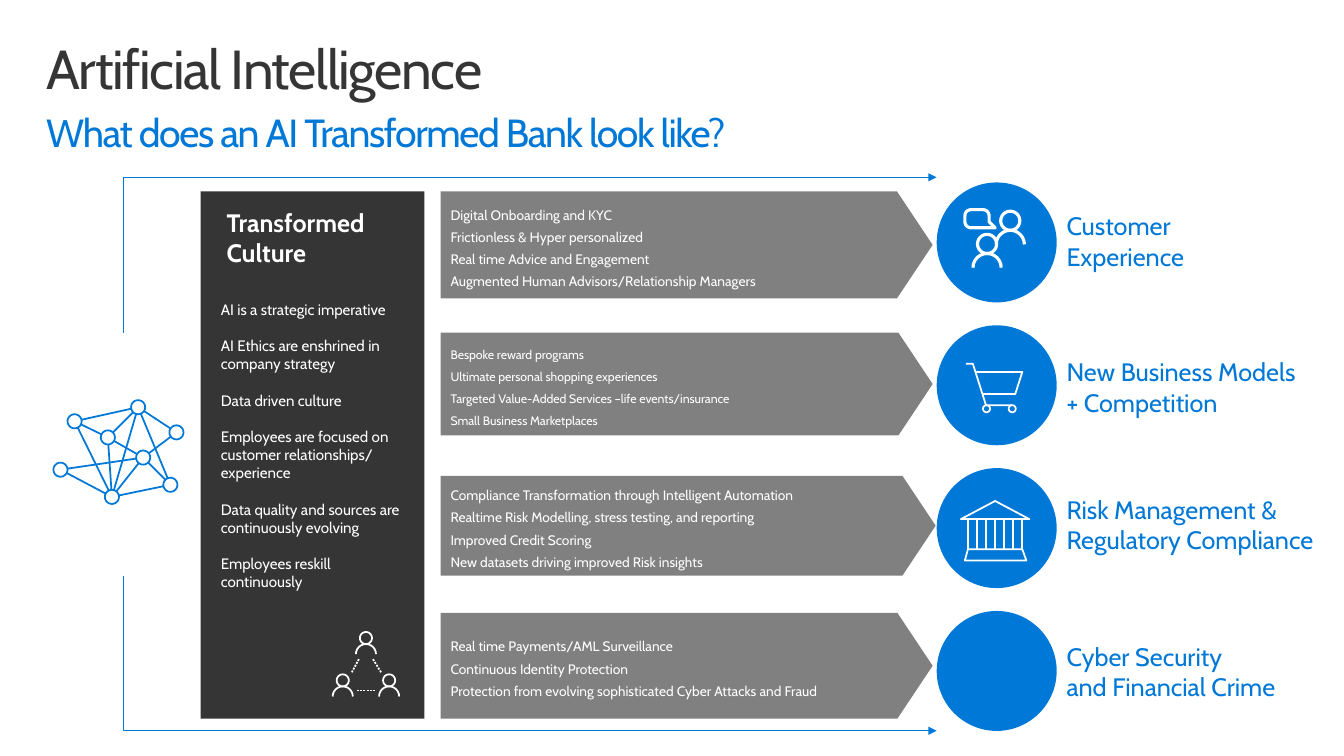
from math import cos, dist, radians, sin

from pptx import Presentation
from pptx.dml.color import RGBColor
from pptx.enum.shapes import MSO_CONNECTOR, MSO_SHAPE
from pptx.enum.text import MSO_ANCHOR, MSO_AUTO_SIZE, PP_ALIGN
from pptx.oxml.ns import qn
from pptx.util import Inches, Pt

BLUE = RGBColor(0x00, 0x78, 0xD7)
DARK = RGBColor(0x35, 0x35, 0x35)
GRAY = RGBColor(0x80, 0x80, 0x80)
WHITE = RGBColor(0xFF, 0xFF, 0xFF)
FONT = "Cabin"

TITLE = "Artificial Intelligence"
SUBTITLE = "What does an AI Transformed Bank look like?"
CULTURE_HEADING = ["Transformed", "Culture"]
CULTURE_POINTS = [
    ["AI is a strategic imperative"],
    ["AI Ethics are enshrined in company strategy"],
    ["Data driven culture"],
    ["Employees are focused on customer relationships/", "experience"],
    ["Data quality and sources are continuously evolving"],
    ["Employees reskill continuously"],
]
# Each row: arrow (top, width, height, text size), arrow lines, label top, label lines
ROWS = [
    ((1.9, 4.88, 1.06, 9.8),
     ["Digital Onboarding and KYC", "Frictionless & Hyper personalized",
      "Real time Advice and Engagement", "Augmented Human Advisors/Relationship Managers"],
     2.04, ["Customer", "Experience"]),
    ((3.3, 4.88, 1.02, 8.8),
     ["Bespoke reward programs", "Ultimate personal shopping experiences",
      "Targeted Value-Added Services –life events/insurance", "Small Business Marketplaces"],
     3.49, ["New Business Models", "+ Competition"]),
    ((4.72, 4.91, 0.99, 9.8),
     ["Compliance Transformation through Intelligent Automation",
      "Realtime Risk Modelling, stress testing, and reporting",
      "Improved Credit Scoring", "New datasets driving improved Risk insights"],
     4.85, ["Risk Management &", "Regulatory Compliance"]),
    ((6.08, 4.88, 1.05, 9.8),
     ["Real time Payments/AML Surveillance", "Continuous Identity Protection",
      "Protection from evolving sophisticated Cyber Attacks and Fraud"],
     6.31, ["Cyber Security", "and Financial Crime"]),
]
CIRCLE_LEFT, CIRCLE_TOP, CIRCLE_SIZE, CIRCLE_PITCH = 9.29, 1.81, 1.19, 1.417
FLOW_LINES = [((1.23, 3.3), (9.29, 1.76)), ((1.23, 5.71), (9.29, 7.25))]

NODE_RADIUS = 0.07
NODES = {"A": (1.37, 4.04), "B": (1.75, 4.29), "C": (1.42, 4.54), "D": (1.69, 4.81),
         "E": (1.11, 4.93), "F": (0.6, 4.66), "G": (1.07, 4.34), "H": (0.74, 4.18)}
LINKS = ["HG", "GC", "CF", "FE", "ED", "AH", "AB", "BC", "EC", "AE", "GE", "EH",
         "GA", "AD", "CD"]


def arc(x, y, radius, start=0, end=360):
    """Points clockwise from start to end, in degrees, with 0 at the right."""
    steps = (end - start) // 15
    angles = [radians(start + (end - start) * i / steps) for i in range(steps + 1)]
    return [(x + radius * cos(a), y + radius * sin(a)) for a in angles]


def between(start, end, share):
    return tuple(a + (b - a) * share for a, b in zip(start, end))


def person(x, y, head, shoulder):
    return [arc(x, y, head), arc(x, y + head + shoulder, shoulder, 180, 360)]


def dashes(start, end, count):
    unit = 1 / (count - 0.4)
    return [[between(start, end, i * unit), between(start, end, (i + 0.6) * unit)]
            for i in range(count)]


def link(start, end):
    """A line between two nodes that stops at their rims."""
    trim = NODE_RADIUS / dist(start, end)
    return [between(start, end, trim), between(start, end, 1 - trim)]


NETWORK = ([arc(x, y, NODE_RADIUS) for x, y in NODES.values()]
           + [link(NODES[a], NODES[b]) for a, b in LINKS])
BUBBLE = (arc(9.63, 2.2, 0.06, 90, 180) + arc(9.63, 2.14, 0.06, 180, 270)
          + arc(9.75, 2.14, 0.06, 270, 360) + [(9.81, 2.2), (9.87, 2.26), (9.63, 2.26)])
CUSTOMERS = [BUBBLE] + person(9.79, 2.42, 0.095, 0.14) + person(10.02, 2.19, 0.095, 0.14)
CART = [arc(9.785, 4.055, 0.035), arc(10.04, 4.055, 0.035),
        [(9.58, 3.61), (9.65, 3.61), (9.78, 4.02), (10.04, 4.02)],
        [(9.75, 3.91), (10.07, 3.91), (10.14, 3.69), (9.68, 3.69)]]
BANK = ([[(9.87, 4.97), (10.21, 5.15), (9.53, 5.15), (9.87, 4.97)],
         [(9.6, 5.45), (9.57, 5.56), (10.18, 5.56), (10.14, 5.45), (9.6, 5.45)]]
        + [[(9.6 + 0.09 * i, 5.15), (9.6 + 0.09 * i, 5.45)] for i in range(7)])
TEAM = (person(3.63, 6.33, 0.06, 0.1) + person(3.86, 6.75, 0.06, 0.1)
        + person(3.4, 6.75, 0.06, 0.1) + dashes((3.54, 6.85), (3.72, 6.85), 6)
        + dashes((3.7, 6.54), (3.78, 6.67), 5) + dashes((3.56, 6.54), (3.49, 6.67), 5))
ICONS = [(CUSTOMERS, WHITE, 2.25), (CART, WHITE, 1.25), (BANK, WHITE, 1.25),
         (NETWORK, BLUE, 1.25), (TEAM, WHITE, 1.25)]


def set_all(target, values):
    for name, value in values.items():
        setattr(target, name, value)


def write_text(shape, groups, size, color, frame=None, para_format=None,
               gap=0, bold=False, tracking=0):
    """Write groups of lines, with gap points between the groups."""
    box = shape.text_frame
    set_all(box, {"vertical_anchor": MSO_ANCHOR.TOP, "word_wrap": True,
                  "auto_size": MSO_AUTO_SIZE.NONE, **(frame or {})})
    lines = [(text, g > 0 and i == 0)
             for g, group in enumerate(groups) for i, text in enumerate(group)]
    for index, (text, spaced) in enumerate(lines):
        para = box.add_paragraph() if index else box.paragraphs[0]
        set_all(para, {"alignment": PP_ALIGN.LEFT, **(para_format or {})})
        if spaced and gap:
            para.space_before = Pt(gap)
        span = para.add_run()
        span.text = text
        set_all(span.font, {"name": FONT, "size": Pt(size), "bold": bold})
        span.font.color.rgb = color
        if tracking:
            span._r.get_or_add_rPr().set("spc", str(tracking * 100))


def add_filled(page, kind, place, color):
    shape = page.shapes.add_shape(kind, *map(Inches, place))
    shape.shadow.inherit = False
    shape.fill.solid()
    shape.fill.fore_color.rgb = color
    shape.line.fill.background()
    return shape


def add_text(page, place, lines, size, color, **options):
    box = page.shapes.add_textbox(*map(Inches, place))
    write_text(box, [lines], size, color, **options)


def add_icon(page, strokes, color, width):
    builder = None
    for stroke in strokes:
        points = [(Inches(x), Inches(y)) for x, y in stroke]
        if builder is None:
            builder = page.shapes.build_freeform(*points[0], scale=1.0)
        else:
            builder.move_to(*points[0])
        builder.add_line_segments(points[1:], close=False)
    icon = builder.convert_to_shape()
    icon.shadow.inherit = False
    icon.fill.background()
    icon.line.color.rgb = color
    icon.line.width = Pt(width)


def add_flow_line(page, start, end):
    line = page.shapes.add_connector(MSO_CONNECTOR.ELBOW, *map(Inches, start + end))
    line.line.color.rgb = BLUE
    line.line.width = Pt(0.75)
    properties = line._element.spPr
    bend = properties.find(qn("a:prstGeom")).get_or_add_avLst()
    guide = bend.makeelement(qn("a:gd"), {"name": "adj1", "fmla": "val 0"})
    bend.append(guide)
    outline = line.line._get_or_add_ln()
    outline.append(outline.makeelement(qn("a:tailEnd"), {"type": "triangle"}))
    properties.append(properties.makeelement(qn("a:effectLst"), {}))


def main():
    deck = Presentation()
    deck.slide_width, deck.slide_height = Inches(13.33), Inches(7.5)
    page = deck.slides.add_slide(deck.slide_layouts[5])

    title = page.shapes.title
    set_all(title, {"left": Inches(0.3), "top": Inches(0.32),
                    "width": Inches(12.75), "height": Inches(0.98)})
    margins = {"margin_left": Inches(0.16), "margin_top": Inches(0.1)}
    write_text(title, [[TITLE]], 39.2, DARK, frame=margins,
               para_format={"line_spacing": 0.9}, tracking=-1)
    add_text(page, (0.36, 1.03, 7.39, 0.57), [SUBTITLE], 28, BLUE,
             frame={"word_wrap": False}, tracking=-1)

    panel = add_filled(page, MSO_SHAPE.RECTANGLE, (1.99, 1.9, 2.22, 5.23), DARK)
    margins = {"margin_left": Inches(0.2), "margin_right": Inches(0.2),
               "margin_top": Inches(1.08)}
    write_text(panel, CULTURE_POINTS, 10.8, WHITE, frame=margins, gap=13)
    add_text(page, (2.15, 2.01, 1.71, 0.7), CULTURE_HEADING, 18, WHITE, bold=True)

    for index, ((top, width, height, size), lines, label_top, label) in enumerate(ROWS):
        arrow = add_filled(page, MSO_SHAPE.PENTAGON, (4.37, top, width, height), GRAY)
        arrow.adjustments[0] = 0.333
        write_text(arrow, [lines], size, WHITE,
                   frame={"vertical_anchor": MSO_ANCHOR.MIDDLE},
                   para_format={"line_spacing": Pt(15.8)})
        circle_top = CIRCLE_TOP + index * CIRCLE_PITCH
        add_filled(page, MSO_SHAPE.OVAL,
                   (CIRCLE_LEFT, circle_top, CIRCLE_SIZE, CIRCLE_SIZE), BLUE)
        add_text(page, (10.48, label_top, 2.84, 0.72), label, 18, BLUE,
                 frame={"word_wrap": False})

    for start, end in FLOW_LINES:
        add_flow_line(page, start, end)
    for strokes, color, width in ICONS:
        add_icon(page, strokes, color, width)
    deck.save("out.pptx")


if __name__ == "__main__":
    main()
